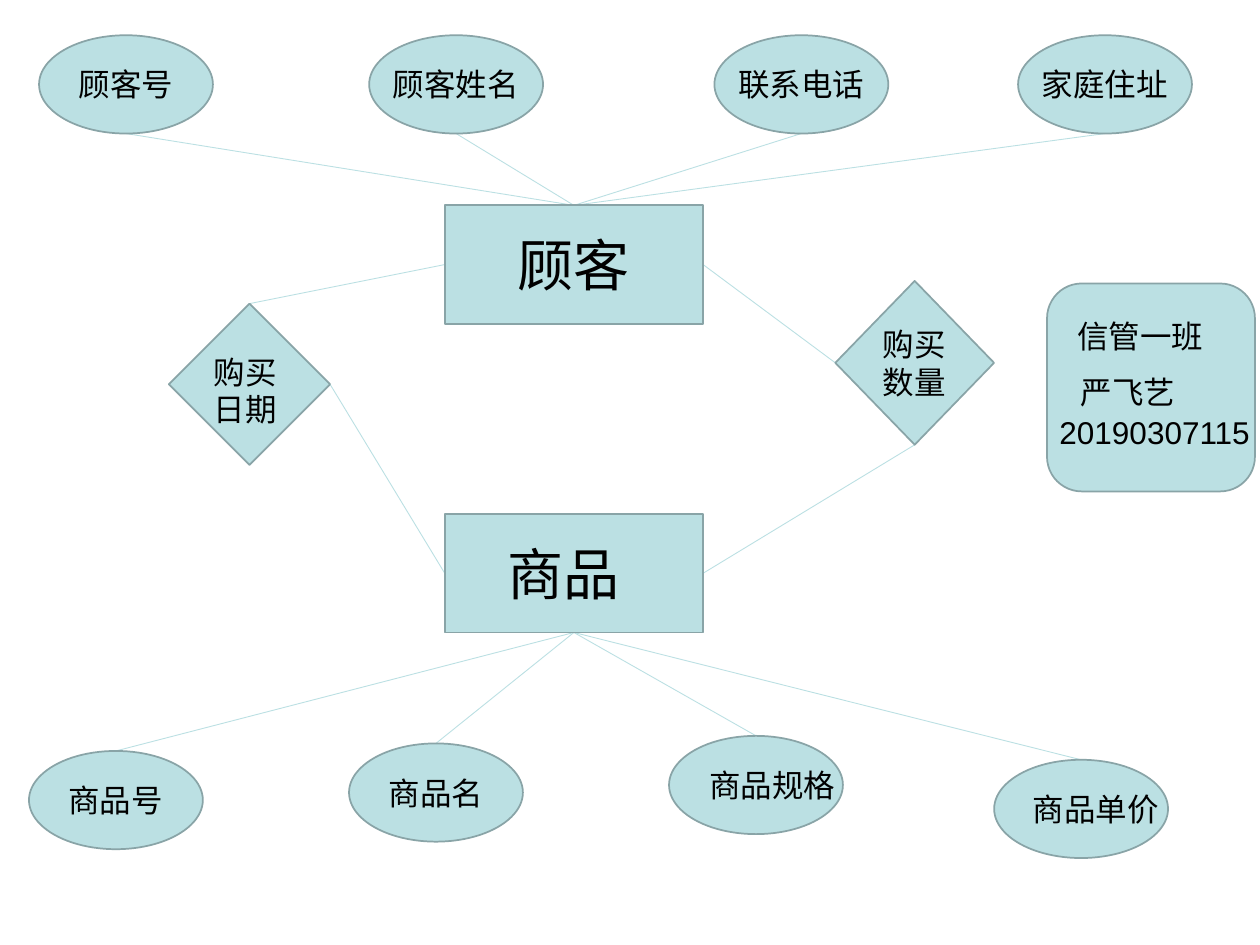
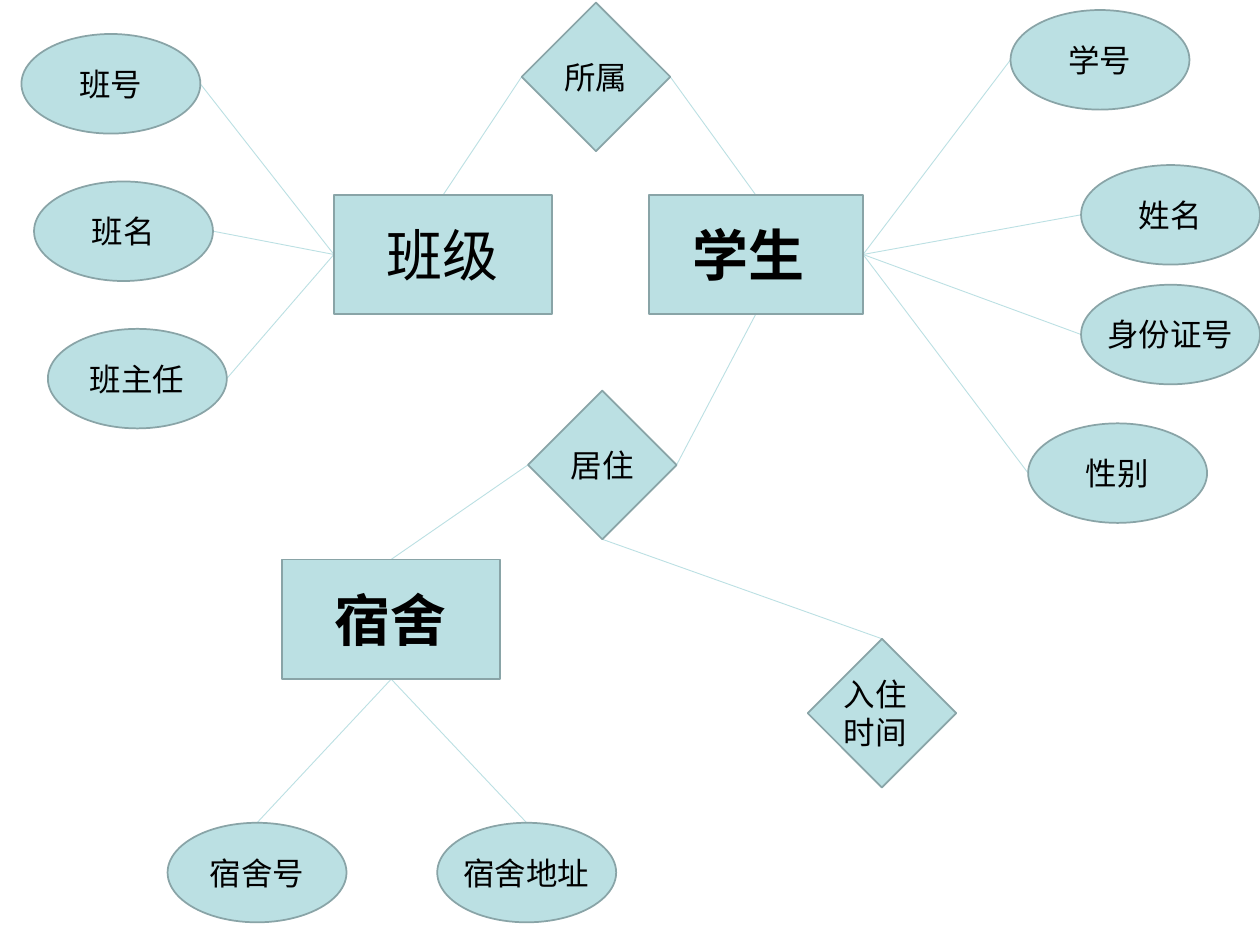
"""Build two entity-relationship diagrams: shop purchases and student housing."""
from lxml import etree
from pptx import Presentation
from pptx.dml.color import RGBColor
from pptx.enum.shapes import MSO_CONNECTOR, MSO_SHAPE as SHAPE
from pptx.enum.text import MSO_AUTO_SIZE as AUTO
from pptx.oxml.ns import qn
from pptx.util import Inches, Pt

FILL, EDGE, INK, FONT = "BBE0E3", "89A4A7", "000000", "Arial"
TOP, LEFT, BOTTOM, RIGHT = (0.5, 0), (0, 0.5), (0.5, 1), (1, 0.5)
ENTITY, LINK, ATTR = SHAPE.RECTANGLE, SHAPE.DIAMOND, SHAPE.OVAL
rgb = RGBColor.from_string


def add_box(slide, kind, x, y, w, h):
    """Add a group that holds one filled shape."""
    group = slide.shapes.add_group_shape()
    sp = group.shapes.add_shape(kind, Inches(x), Inches(y), Inches(w), Inches(h))
    sp.shadow.inherit = False
    sp.fill.solid()
    sp.fill.fore_color.rgb = rgb(FILL)
    sp.line.color.rgb = rgb(EDGE)
    sp.line.width = Pt(1)
    return group


def add_label(group, text, x, y, w, h, size=18, bold=False, wrap=False):
    """Add a text box to a group."""
    box = group.shapes.add_textbox(Inches(x), Inches(y), Inches(w), Inches(h))
    tf = box.text_frame
    tf.word_wrap = wrap
    tf.auto_size = AUTO.SHAPE_TO_FIT_TEXT
    r = tf.paragraphs[0].add_run()
    r.text = text
    r.font.name, r.font.size, r.font.bold = FONT, Pt(size), bold
    r.font.color.rgb = rgb(INK)


# fmt: off
shop_nodes = [
    (ENTITY, "顾客", 3.53, 1.63, 2.05, 0.94, 0, 0),
    (ENTITY, "商品", 3.53, 4.08, 2.05, 0.94, -0.08, 0),
    (LINK, "购买日期", 1.34, 2.41, 1.28, 1.28, 0.02, 0.05),
    (LINK, "购买数量", 6.63, 2.23, 1.26, 1.3, 0.05, 0),
] + [(ATTR, text, x, y, 1.38, 0.78, dx, 0) for text, x, y, dx in [
    ("顾客号", 0.31, 0.28, 0), ("顾客姓名", 2.93, 0.28, 0),
    ("联系电话", 5.67, 0.28, 0), ("家庭住址", 8.08, 0.28, 0),
    ("商品号", 0.23, 5.96, 0), ("商品名", 2.77, 5.9, 0),
    ("商品规格", 5.31, 5.84, 0.13), ("商品单价", 7.89, 6.03, 0.12)]]
shop_links = [
    ("购买日期", TOP, "顾客", LEFT), ("顾客", RIGHT, "购买数量", LEFT),
    ("购买日期", RIGHT, "商品", LEFT), ("购买数量", BOTTOM, "商品", RIGHT),
] + [(name, BOTTOM, "顾客", TOP) for name in ("顾客号", "顾客姓名", "联系电话", "家庭住址")
] + [(name, TOP, "商品", BOTTOM) for name in ("商品号", "商品名", "商品规格", "商品单价")]

dorm_nodes = [
    (ENTITY, "班级", 2.65, 1.55, 1.73, 0.94, 0, 0),
    (ENTITY, "学生", 5.15, 1.55, 1.7, 0.94, -0.06, 0),
    (ENTITY, "宿舍", 2.24, 4.44, 1.73, 0.95, 0, 0),
    (LINK, "所属", 4.14, 0.02, 1.18, 1.18, 0, 0),
    (LINK, "居住", 4.19, 3.1, 1.18, 1.18, 0, 0),
    (LINK, "入住时间", 6.41, 5.07, 1.18, 1.18, 0, 0),
] + [(ATTR, text, x, y, 1.42, 0.79, 0, 0) for text, x, y in [
    ("班号", 0.17, 0.27), ("班名", 0.27, 1.44), ("班主任", 0.38, 2.61),
    ("学号", 8.02, 0.08), ("姓名", 8.58, 1.31), ("身份证号", 8.58, 2.26), ("性别", 8.16, 3.36),
    ("宿舍号", 1.33, 6.53), ("宿舍地址", 3.47, 6.53)]]
dorm_links = [
    ("班级", TOP, "所属", LEFT), ("所属", RIGHT, "学生", TOP),
    ("学生", BOTTOM, "居住", RIGHT), ("居住", LEFT, "宿舍", TOP),
    ("居住", BOTTOM, "入住时间", TOP),
] + [(name, RIGHT, "班级", LEFT) for name in ("班号", "班名", "班主任")
] + [("学生", RIGHT, name, LEFT) for name in ("学号", "姓名", "身份证号", "性别")
] + [("宿舍", BOTTOM, name, TOP) for name in ("宿舍号", "宿舍地址")]
# fmt: on

prs = Presentation()
prs.slide_width, prs.slide_height = Inches(10), Inches(7.5)
bold_entities = ("学生", "宿舍")

for nodes, links in ((shop_nodes, shop_links), (dorm_nodes, dorm_links)):
    slide = prs.slides.add_slide(prs.slide_layouts[6])
    frames = {text: (x, y, w, h) for _, text, x, y, w, h, _, _ in nodes}

    for start, start_side, end, end_side in links:
        points = []
        for name, (fx, fy) in ((start, start_side), (end, end_side)):
            x, y, w, h = frames[name]
            points += [Inches(x + fx * w), Inches(y + fy * h)]
        line = slide.shapes.add_connector(MSO_CONNECTOR.STRAIGHT, *points)
        line.line.color.rgb = rgb(FILL)
        line.line.width = Pt(0.5)
        etree.SubElement(line._element.spPr, qn("a:effectLst"))

    for kind, text, x, y, w, h, dx, dy in nodes:
        group = add_box(slide, kind, x, y, w, h)
        size = 32 if kind == ENTITY else 18
        wrap = kind == LINK and len(text) > 2
        label_w = 0.8 if wrap else len(text) * size / 72 + 0.2
        label_h = 0.7 if wrap else 0.64 if kind == ENTITY else 0.4
        add_label(group, text, x + (w - label_w) / 2 + dx, y + (h - label_h) / 2 + dy,
                  label_w, label_h, size, text in bold_entities, wrap)

card = add_box(prs.slides[0], SHAPE.ROUNDED_RECTANGLE, 8.31, 2.25, 1.65, 1.65)
for text, x, y, w in (("信管一班", 8.45, 2.47, 1.2), ("严飞艺", 8.48, 2.91, 0.95),
                      ("20190307115", 8.31, 3.23, 1.79)):
    add_label(card, text, x, y, w, 0.4)

prs.save("out.pptx")
